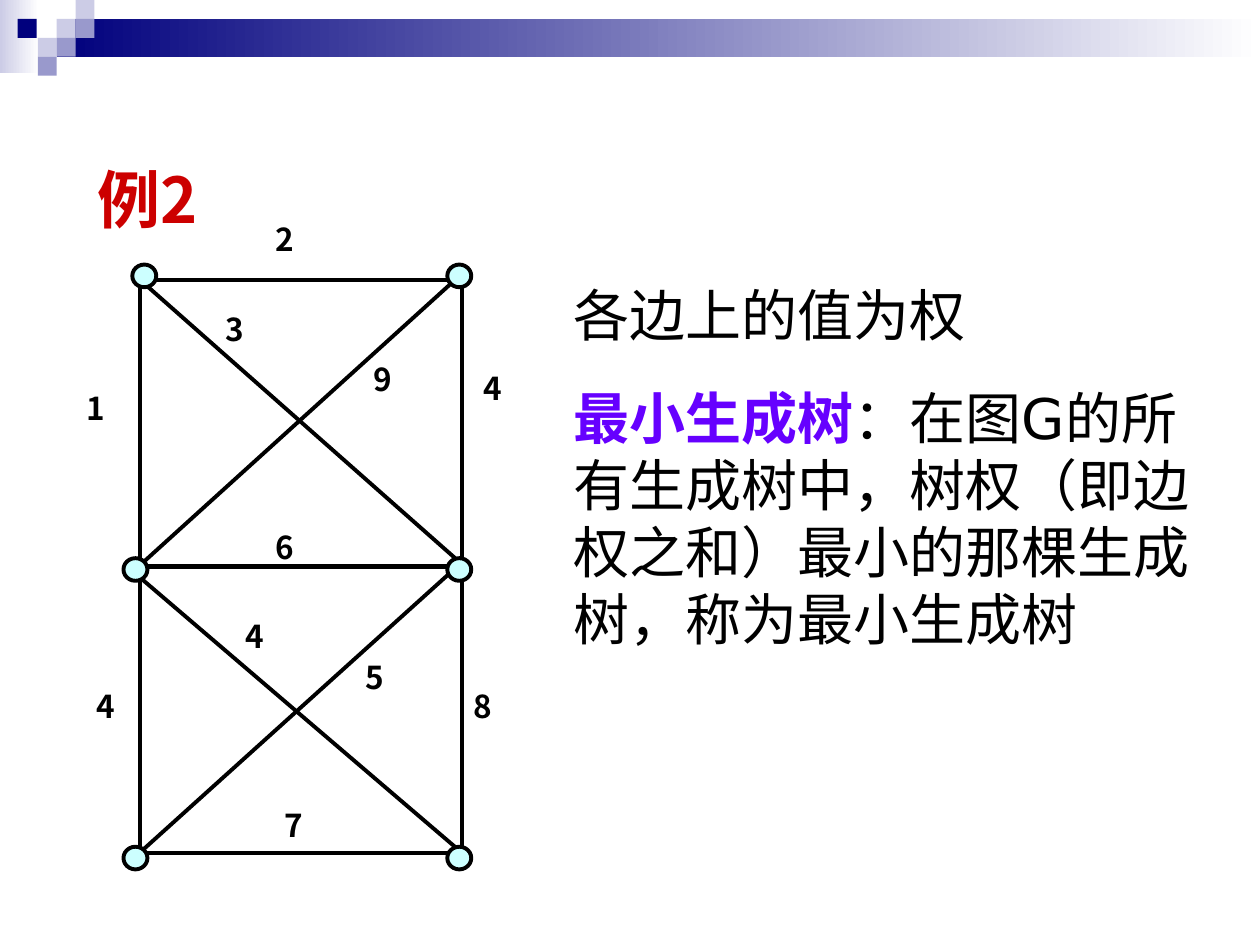
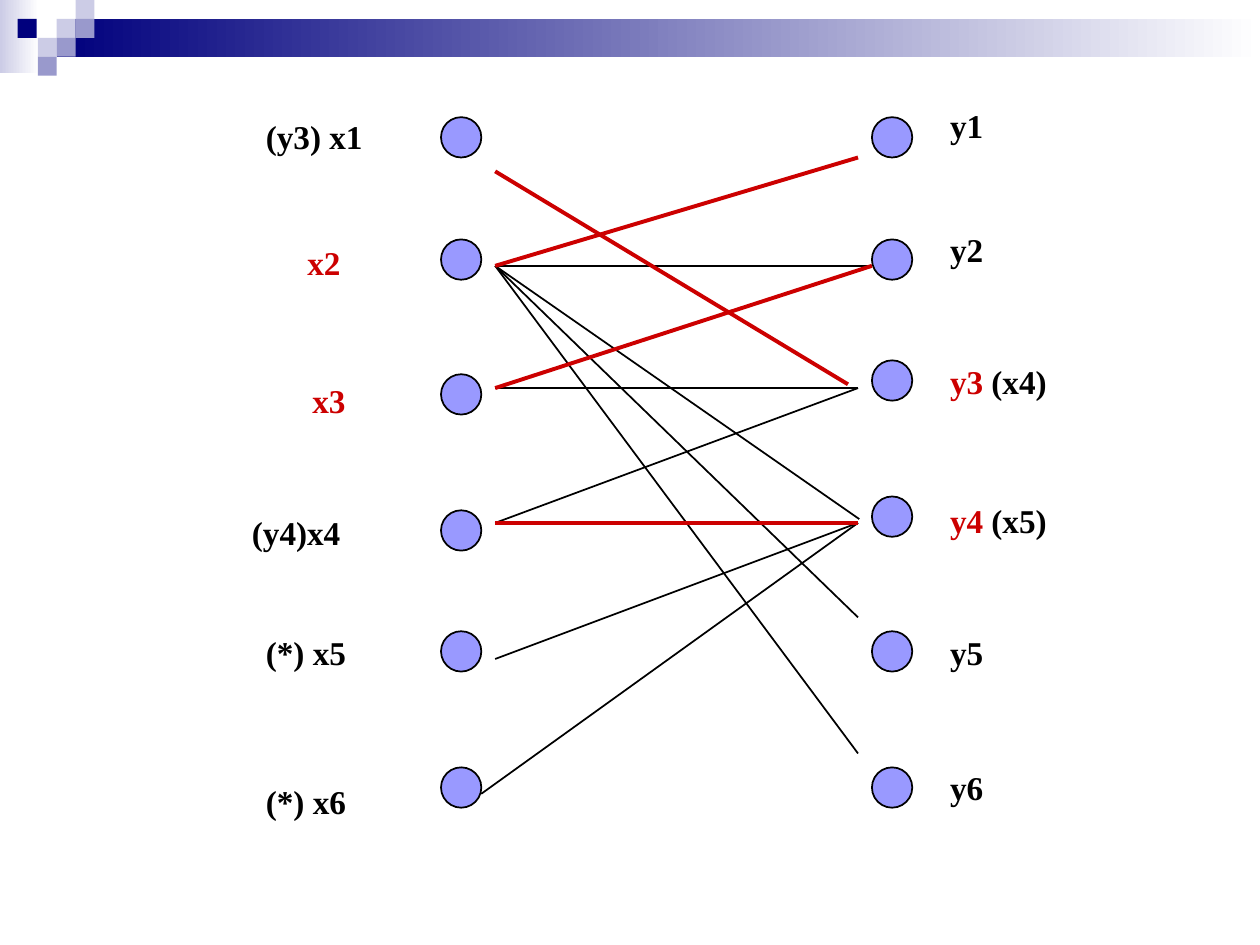
import lxml.etree
import pptx
import pptx.dml.color
import pptx.enum.shapes
import pptx.enum.text
import pptx.oxml.ns
import pptx.util

PX = 9144  # EMU per px, 100 px to the inch
CJK, PLAIN, SERIF = "Noto Sans CJK SC", "DejaVu Sans", "Times New Roman"
BLACK, RED, VIOLET, WHITE = "000000", "CC0000", "6600FF", "FFFFFF"
NAVY, MID_BLUE, PALE_BLUE = "00007D", "9999CC", "CCCCE6"
SHAPES = pptx.enum.shapes.MSO_SHAPE
qn = pptx.oxml.ns.qn


def color(hex_text):
    return pptx.dml.color.RGBColor.from_string(hex_text)


def px(*lengths):
    return [length * PX for length in lengths]


def add_shape(page, kind, place, fill=None, line=None, weight=1):
    """Draw a preset shape; a pair of fills makes a left-to-right gradient."""
    shape = page.shapes.add_shape(kind, *px(*place))
    shape.shadow.inherit = False
    if fill is None:
        shape.fill.background()
    elif isinstance(fill, tuple):
        shape.fill.gradient()
        shape.fill.gradient_angle = 0
        for stop, stop_color in zip(shape.fill.gradient_stops, fill):
            stop.color.rgb = color(stop_color)
    else:
        shape.fill.solid()
        shape.fill.fore_color.rgb = color(fill)
    if line:
        shape.line.color.rgb = color(line)
        shape.line.width = pptx.util.Pt(weight)
    else:
        shape.line.fill.background()
    return shape


def add_line(page, start, end, line=BLACK, weight=1):
    connector = page.shapes.add_connector(
        pptx.enum.shapes.MSO_CONNECTOR.STRAIGHT, *px(*start, *end))
    connector.line.color.rgb = color(line)
    connector.line.width = pptx.util.Pt(weight)
    properties = connector.element.find(qn("p:spPr"))
    lxml.etree.SubElement(properties, qn("a:effectLst"))


def format_span(span, size, font, text_color, bold):
    span.font.size = pptx.util.Pt(size)
    span.font.name = font
    span.font.bold = bold
    span.font.color.rgb = color(text_color)
    east_asian = lxml.etree.Element(qn("a:ea"), typeface=font)
    span.font._element.find(qn("a:latin")).addnext(east_asian)


def write_spans(para, spans, size):
    """Each span is (text, font, colour, bold)."""
    for text, *look in spans:
        span = para.add_run()
        span.text = text
        format_span(span, size, *look)


def set_frame(frame, side=10, edge=5):
    frame.word_wrap = True
    frame.auto_size = pptx.enum.text.MSO_AUTO_SIZE.NONE
    frame.vertical_anchor = pptx.enum.text.MSO_ANCHOR.TOP
    frame.margin_left = frame.margin_right = side * PX
    frame.margin_top = frame.margin_bottom = edge * PX


def add_label(page, place, spans, size, side=10, edge=5):
    box = page.shapes.add_textbox(*px(*place))
    set_frame(box.text_frame, side, edge)
    write_spans(box.text_frame.paragraphs[0], spans, size)


def fill_placeholder(box, place, paragraphs, size, gap=0):
    box.left, box.top, box.width, box.height = px(*place)
    frame = box.text_frame
    set_frame(frame)
    for index, spans in enumerate(paragraphs):
        para = frame.paragraphs[0] if index == 0 else frame.add_paragraph()
        properties = para._p.get_or_add_pPr()
        properties.set("marL", "0")
        properties.set("indent", "0")
        lxml.etree.SubElement(properties, qn("a:buNone"))
        para.alignment = pptx.enum.text.PP_ALIGN.LEFT
        para.space_before = pptx.util.Pt(gap if index else 0)
        write_spans(para, spans, size)


def move_band_to_master(deck, page):
    """Draw the gradient bands and the mosaic once, behind every slide."""
    band = [((0, 0, 31, 58), (PALE_BLUE, WHITE)),
            ((45, 15, 955, 30), (NAVY, WHITE))]
    mosaic = [(45, 15, PALE_BLUE), (60, 0, PALE_BLUE), (60, 15, MID_BLUE),
              (30, 30, PALE_BLUE), (14, 15, NAVY), (45, 30, MID_BLUE),
              (30, 45, MID_BLUE)]
    band += [((left, top, 15, 15), fill) for left, top, fill in mosaic]
    tree = deck.slide_master.shapes.element
    for index, (place, fill) in enumerate(band):
        shape = add_shape(page, SHAPES.RECTANGLE, place, fill)
        shape.element.xpath(".//p:cNvPr")[0].set("id", str(100 + index))
        tree.insert(2 + index, shape.element)


def build_spanning_tree(page):
    fill_placeholder(page.shapes.title, (67, 122, 308, 70),
                     [[("例2", CJK, RED, True)]], 36)
    definition = "：在图G的所有生成树中，树权（即边权之和）最小的那棵生成树，称为最小生成树"
    fill_placeholder(page.placeholders[1], (445, 218, 528, 305), [
        [("各边上的值为权", PLAIN, BLACK, False)],
        [("最小生成树", CJK, VIOLET, True), (definition, PLAIN, BLACK, False)],
    ], 32, gap=20)

    # Edges: two squares with their diagonals
    for top in (222, 450):
        add_shape(page, SHAPES.RECTANGLE, (111, top, 256, 227),
                  line=BLACK, weight=2.25)
    diagonals = [((111, 222), (368, 449)), ((358, 225), (114, 446)),
                 ((106, 454), (368, 678)), ((358, 454), (114, 674))]
    for start, end in diagonals:
        add_line(page, start, end, weight=2.25)

    # Vertices
    for left, top in [(105, 210), (355, 210), (98, 443), (355, 443),
                      (98, 672), (355, 672)]:
        add_shape(page, SHAPES.OVAL, (left, top, 19, 18), "CCFFFF",
                  BLACK, 2.25)

    # Weights
    weights = [("1", 59, 304), ("2", 209, 170), ("3", 169, 241),
               ("4", 374, 288), ("9", 287, 281), ("6", 209, 414),
               ("4", 67, 540), ("4", 185, 485), ("5", 280, 517),
               ("8", 366, 540), ("7", 216, 635)]
    for weight, left, top in weights:
        add_label(page, (left, top, 40, 40),
                  [(weight, CJK, BLACK, True)], 18)


def build_matching(page):
    # Vertices of both sides
    columns = {350: (93, 190, 297, 405, 501, 609),
               692: (93, 190, 286, 394, 501, 609)}
    for left, tops in columns.items():
        for top in tops:
            add_shape(page, SHAPES.OVAL, (left, top, 32, 32), "9999FF", BLACK)

    # Edges; the matched ones are red and thick
    x2, x3, x4 = (393, 211), (393, 308), (393, 415)
    y2, y3, y4 = (692, 211), (681, 308), (681, 415)
    plain = [(x2, y2), (x2, (682, 412)), (x2, (681, 490)), (x2, (681, 598)),
             (x3, y3), (x4, y3), ((393, 523), y4), ((382, 630), y4)]
    matched = [((393, 136), (673, 305)), (x2, (681, 125)), (x3, y2), (x4, y4)]
    for start, end in plain:
        add_line(page, start, end)
    for start, end in matched:
        add_line(page, start, end, RED, 2.25)

    # Labels: left, top, red part, black part
    labels = [(209, 91, "", "(y3) x1"), (242, 191, "x2", ""),
              (246, 301, "x3", ""), (198, 406, "", "(y4)x4"),
              (209, 501, "", "(*) x5"), (209, 619, "", "(*) x6"),
              (752, 83, "", "y1"), (752, 181, "", "y2"),
              (752, 286, "y3", " (x4)"), (752, 396, "y4", " (x5)"),
              (752, 501, "", "y5"), (752, 608, "", "y6")]
    for left, top, red_text, black_text in labels:
        spans = [(text, SERIF, text_color, True) for text, text_color
                 in ((red_text, RED), (black_text, BLACK)) if text]
        add_label(page, (left, top, 120, 34), spans, 19, side=2, edge=1)


def main():
    deck = pptx.Presentation()
    deck.slide_width, deck.slide_height = px(1000, 750)
    tree_page = deck.slides.add_slide(deck.slide_layouts[1])
    move_band_to_master(deck, tree_page)
    build_spanning_tree(tree_page)
    build_matching(deck.slides.add_slide(deck.slide_layouts[6]))
    deck.save("out.pptx")


if __name__ == "__main__":
    main()
